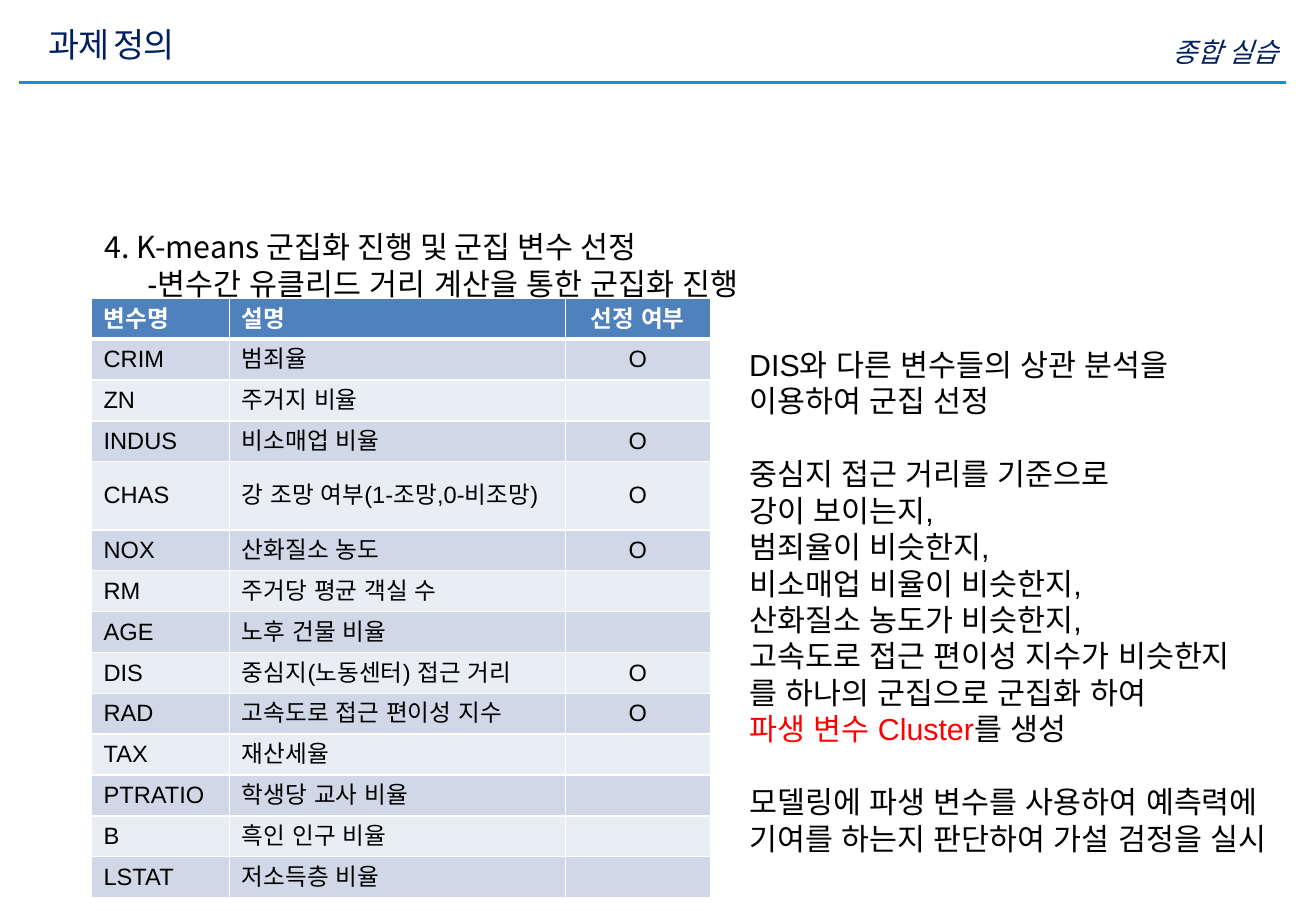
from lxml import etree
from pptx import Presentation
from pptx.dml.color import RGBColor
from pptx.enum.shapes import MSO_CONNECTOR
from pptx.enum.text import MSO_ANCHOR, MSO_AUTO_SIZE, PP_ALIGN
from pptx.oxml.ns import qn
from pptx.util import Pt

LEFT, CENTER, RIGHT = PP_ALIGN.LEFT, PP_ALIGN.CENTER, PP_ALIGN.RIGHT
TOP, MIDDLE = MSO_ANCHOR.TOP, MSO_ANCHOR.MIDDLE
STRAIGHT = MSO_CONNECTOR.STRAIGHT
NO_FIT = MSO_AUTO_SIZE.NONE

ARIAL, NOTO = "Arial", "Noto Sans CJK KR"
NAVY, BLUE, BLACK, WHITE, RED = "002060", "188DD0", "000000", "FFFFFF", "FF0000"
HEADER_FILL, BANDS = "4F81BD", ("D0D8E8", "E9EDF4")
LINE_PITCH = 21.6
ROW_HEIGHT, TALL_ROW = 24.1, 40.7
COLUMN_WIDTHS = (82, 198.9, 86)

HEADINGS = ("변수명", "설명", "선정 여부")
VARIABLES = (
    ("CRIM", "범죄율", "O"),
    ("ZN", "주거지 비율", ""),
    ("INDUS", "비소매업 비율", "O"),
    ("CHAS", "강 조망 여부(1-조망,0-비조망)", "O"),
    ("NOX", "산화질소 농도", "O"),
    ("RM", "주거당 평균 객실 수", ""),
    ("AGE", "노후 건물 비율", ""),
    ("DIS", "중심지(노동센터) 접근 거리", "O"),
    ("RAD", "고속도로 접근 편이성 지수", "O"),
    ("TAX", "재산세율", ""),
    ("PTRATIO", "학생당 교사 비율", ""),
    ("B", "흑인 인구 비율", ""),
    ("LSTAT", "저소득층 비율", ""),
)
EXPLANATION = (
    ("DIS와 다른 변수들의 상관 분석을 이용하여 군집 선정",),
    (
        "중심지 접근 거리를 기준으로",
        "강이 보이는지,",
        "범죄율이 비슷한지,",
        "비소매업 비율이 비슷한지,",
        "산화질소 농도가 비슷한지,",
        "고속도로 접근 편이성 지수가 비슷한지",
        "를 하나의 군집으로 군집화 하여",
        (("파생 변수 Cluster", RED), ("를 생성", BLACK)),
    ),
    ("모델링에 파생 변수를 사용하여 예측력에 기여를 하는지 판단하여 가설 검정을 실시",),
)


def rgb(value):
    """Turn a hex string into a colour."""
    return RGBColor.from_string(value)


def add_run(paragraph, text, size, font=ARIAL, color=BLACK, bold=False, italic=False):
    """Add one formatted run, with the same font for Latin and Korean."""
    run = paragraph.add_run()
    run.text = text
    run.font.size, run.font.name = Pt(size), font
    run.font.bold, run.font.italic = bold, italic
    run.font.color.rgb = rgb(color)
    etree.SubElement(run._r.get_or_add_rPr(), qn("a:ea"), typeface=font)
    return run


def place(shape, left, top, width, height, anchor=TOP):
    """Position a text shape and return its wrapped text frame."""
    shape.left, shape.top = Pt(left), Pt(top)
    shape.width, shape.height = Pt(width), Pt(height)
    frame = shape.text_frame
    frame.word_wrap, frame.auto_size = True, NO_FIT
    frame.vertical_anchor = anchor
    return frame


def next_paragraph(frame, is_first, space_before=0):
    """Return the first or a new paragraph with the common line pitch."""
    paragraph = frame.paragraphs[0] if is_first else frame.add_paragraph()
    paragraph.line_spacing = Pt(LINE_PITCH)
    paragraph.space_before = Pt(space_before)
    return paragraph


def add_header(slide):
    """Fill the title, the course label and the rule below them."""
    title = place(slide.shapes.title, 21.6, 10.8, 612.7, 31, MIDDLE).paragraphs[0]
    title.alignment = LEFT
    title_run = add_run(title, "과제 정의", 20, NOTO, NAVY)
    title_run._r.get_or_add_rPr().set("spc", "-90")

    label_box = slide.shapes.add_textbox(0, 0, 0, 0)
    label = place(label_box, 471.6, 17.3, 293, 21.6).paragraphs[0]
    label.alignment = RIGHT
    add_run(label, "종합 실습", 16, NOTO, NAVY, italic=True)

    rule = slide.shapes.add_connector(STRAIGHT, Pt(11.5), Pt(49), Pt(762.5), Pt(49))
    rule.line.color.rgb, rule.line.width = rgb(BLUE), Pt(2)
    etree.SubElement(rule._element.spPr, qn("a:effectLst"))


def add_steps(slide):
    """Fill the body with the clustering step and its detail."""
    frame = place(slide.placeholders[1], 54.7, 131.8, 709.9, 50)
    steps = (
        ("4. K-means 군집화 진행 및 군집 변수 선정", NOTO, 0),
        ("-변수간 유클리드 거리 계산을 통한 군집화 진행", ARIAL, 25.5),
    )
    for index, (text, font, indent) in enumerate(steps):
        paragraph = next_paragraph(frame, index == 0)
        properties = paragraph._p.get_or_add_pPr()
        properties.set("marL", str(Pt(indent)))
        properties.set("indent", "0")
        etree.SubElement(properties, qn("a:buNone"))
        add_run(paragraph, text, 18, font)


def add_borders(cell, bottom_width):
    """Draw white lines on the four sides of a cell."""
    properties = cell._tc.get_or_add_tcPr()
    for side, width in (("L", 1), ("R", 1), ("T", 1), ("B", bottom_width)):
        line = etree.SubElement(properties, qn(f"a:ln{side}"), w=str(Pt(width)))
        fill = etree.SubElement(line, qn("a:solidFill"))
        etree.SubElement(fill, qn("a:srgbClr"), val=WHITE)


def fill_cell(cell, text, fill, alignment, is_heading):
    """Write and colour one table cell."""
    add_borders(cell, 3 if is_heading else 1)
    cell.fill.solid()
    cell.fill.fore_color.rgb = rgb(fill)
    cell.vertical_anchor = MIDDLE
    paragraph = cell.text_frame.paragraphs[0]
    paragraph.alignment = alignment
    if text:
        add_run(paragraph, text, 14, color=WHITE if is_heading else BLACK, bold=is_heading)
    else:
        etree.SubElement(paragraph._p, qn("a:endParaRPr"), sz="1400")


def add_variable_table(slide):
    """Add the table of variables and their selection marks."""
    rows = (HEADINGS,) + VARIABLES
    frame = slide.shapes.add_table(
        len(rows), len(HEADINGS), Pt(54.2), Pt(177), Pt(sum(COLUMN_WIDTHS)), Pt(ROW_HEIGHT * len(rows)))
    table = frame.table
    table.horz_banding = False
    for column, width in zip(table.columns, COLUMN_WIDTHS):
        column.width = Pt(width)
    for row_index, values in enumerate(rows):
        is_heading = row_index == 0
        table.rows[row_index].height = Pt(TALL_ROW if values[0] == "CHAS" else ROW_HEIGHT)
        fill = HEADER_FILL if is_heading else BANDS[(row_index - 1) % 2]
        for column_index, text in enumerate(values):
            alignment = CENTER if column_index == 2 else LEFT
            fill_cell(table.cell(row_index, column_index), text, fill, alignment, is_heading)


def add_explanation(slide):
    """Add the explanation, with a line of space between its groups."""
    frame = place(slide.shapes.add_textbox(0, 0, 0, 0), 437, 201.6, 323.3, 334)
    for group_index, group in enumerate(EXPLANATION):
        for line_index, line in enumerate(group):
            is_first = group_index == line_index == 0
            gap = LINE_PITCH if group_index and line_index == 0 else 0
            paragraph = next_paragraph(frame, is_first, gap)
            for text, color in ((line, BLACK),) if isinstance(line, str) else line:
                add_run(paragraph, text, 18, color=color)


def main():
    """Build and save the slide."""
    presentation = Presentation()
    presentation.slide_width, presentation.slide_height = Pt(780), Pt(540)
    slide = presentation.slides.add_slide(presentation.slide_layouts[1])
    add_header(slide)
    add_steps(slide)
    add_variable_table(slide)
    add_explanation(slide)
    presentation.save("out.pptx")


main()
